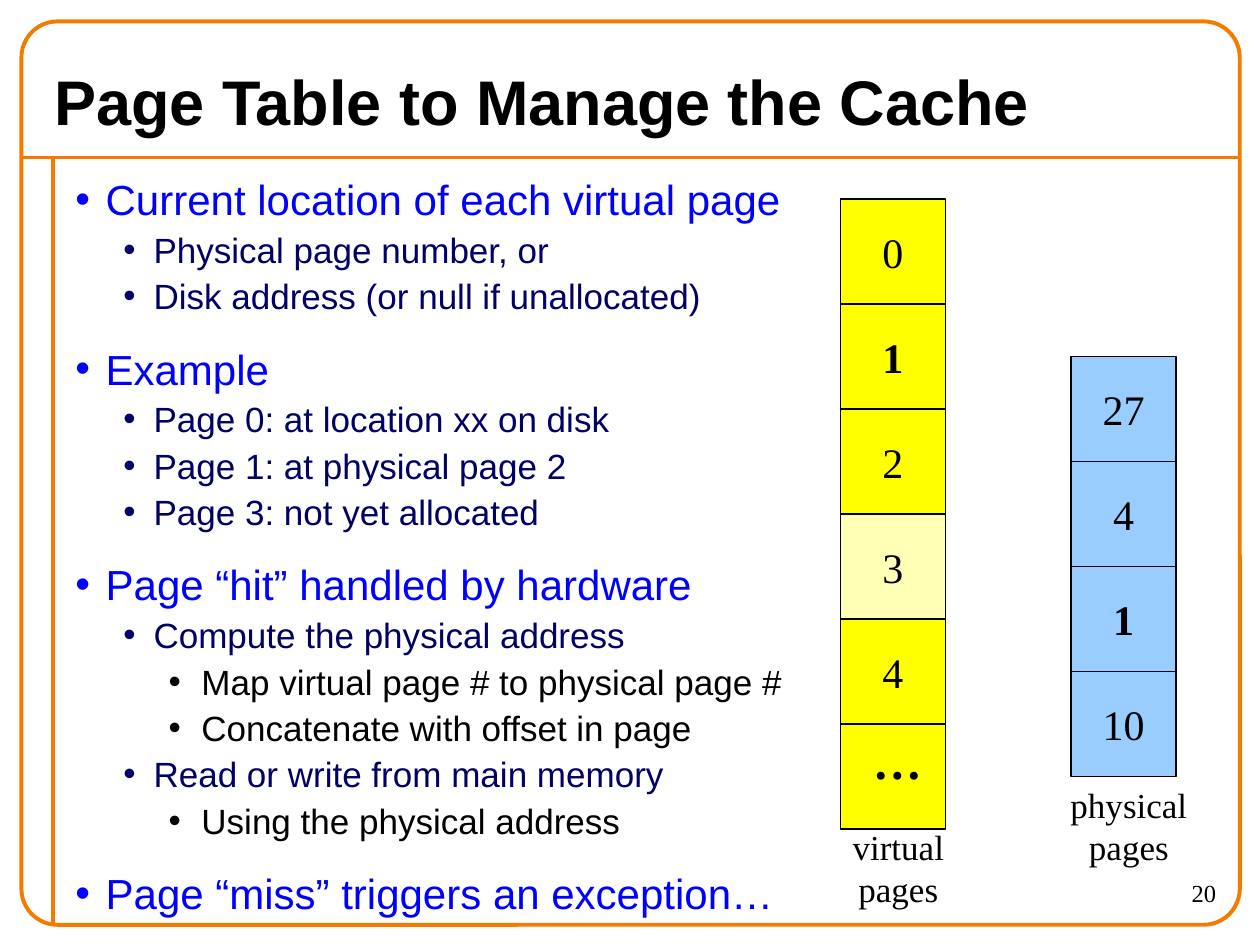
import pptx
import pptx.util
from pptx.dml.color import RGBColor
from pptx.enum.shapes import MSO_CONNECTOR, MSO_SHAPE
from pptx.enum.text import MSO_ANCHOR, PP_ALIGN
from pptx.util import Inches
from lxml import etree

ORANGE = RGBColor(0xF4, 0x7A, 0x00)
BLUE = RGBColor(0x00, 0x00, 0xFF)
NAVY = RGBColor(0x00, 0x00, 0x66)
BLACK = RGBColor(0x00, 0x00, 0x00)
YELLOW = RGBColor(0xFF, 0xFF, 0x00)
LIGHT_BLUE = RGBColor(0x99, 0xCC, 0xFF)
SERIF, SANS = "Times New Roman", "Arial"

# Content
TITLE = "Page Table to Manage the Cache"
OUTLINE = [
    (0, "Current location of each virtual page"),
    (1, "Physical page number, or"),
    (1, "Disk address (or null if unallocated)"),
    (0, "Example"),
    (1, "Page 0: at location xx on disk"),
    (1, "Page 1: at physical page 2"),
    (1, "Page 3: not yet allocated"),
    (0, "Page “hit” handled by hardware"),
    (1, "Compute the physical address"),
    (2, "Map virtual page # to physical page #"),
    (2, "Concatenate with offset in page"),
    (1, "Read or write from main memory"),
    (2, "Using the physical address"),
    (0, "Page “miss” triggers an exception…"),
]
# Per outline level: size, colour, space before, left margin, hanging indent
LEVELS = [(24, BLUE, 15, 0.24, 0.24), (20, NAVY, 2.5, 0.62, 0.24), (20, BLACK, 2.5, 1, 0.26)]
# Page columns: left, top, fill, pages from top to bottom
COLUMNS = [
    (6.67, 1.58, YELLOW, ["0", "1", "2", "3", "4", ""]),
    (8.5, 2.83, LIGHT_BLUE, ["27", "4", "1", "10"]),
]
CACHED_PAGE, UNALLOCATED_PAGE = "1", "3"
CELL = 2.5 / 3
# Labels: lines, box, format
LABELS = [
    (["virtual", "pages"], (6.63, 6.5, 1, 0.77), dict(size=20, align=PP_ALIGN.CENTER)),
    (["physical", "pages"], (8.36, 6.17, 1.2, 0.77), dict(size=20, align=PP_ALIGN.CENTER)),
    (["…"], (6.83, 5.75, 0.59, 0.57), dict(size=28, bold=True)),
    (["20"], (8.75, 6.92, 1, 0.42), dict(size=14, align=PP_ALIGN.RIGHT, wrap=True)),
]


def drawing_element(parent, tag, **attributes):
    return etree.SubElement(parent, pptx.oxml.ns.qn(tag), **attributes)


def write(frame, lines, size=24, font=SERIF, color=BLACK, bold=False,
          align=PP_ALIGN.LEFT, anchor=MSO_ANCHOR.TOP, wrap=False):
    frame.word_wrap = wrap
    frame.vertical_anchor = anchor
    for index, line in enumerate(lines):
        paragraph = frame.paragraphs[0] if index == 0 else frame.add_paragraph()
        paragraph.alignment = align
        run = paragraph.add_run()
        run.text = line
        run.font.size = pptx.util.Pt(size)
        run.font.name = font
        run.font.bold = bold
        run.font.color.rgb = color


def set_line(shape, color, width):
    shape.line.color.rgb = color
    shape.line.width = pptx.util.Pt(width)


def add_rule(slide, start, end):
    rule = slide.shapes.add_connector(MSO_CONNECTOR.STRAIGHT, *map(Inches, start + end))
    set_line(rule, ORANGE, 2.25)
    drawing_element(rule._element.spPr, "a:effectLst")


def add_page(slide, left, top, fill, page):
    cell = slide.shapes.add_shape(MSO_SHAPE.RECTANGLE, *map(Inches, (left, top, CELL, CELL)))
    cell.shadow.inherit = False
    cell.fill.solid()
    cell.fill.fore_color.rgb = fill
    set_line(cell, BLACK, 0.75)
    if page:
        write(cell.text_frame, [page], bold=page == CACHED_PAGE,
              align=PP_ALIGN.CENTER, anchor=MSO_ANCHOR.MIDDLE)
    if page == UNALLOCATED_PAGE:
        color = cell._element.spPr.find(".//" + pptx.oxml.ns.qn("a:srgbClr"))
        drawing_element(color, "a:alpha", val="29000")


def add_outline(slide):
    box = slide.shapes.add_textbox(*map(Inches, (0.5, 1.33, 5.92, 6)))
    frame = box.text_frame
    frame.word_wrap = True
    for index, (level, line) in enumerate(OUTLINE):
        size, color, space, margin, hanging = LEVELS[level]
        paragraph = frame.paragraphs[0] if index == 0 else frame.add_paragraph()
        paragraph.text = line
        paragraph.level = level
        paragraph.space_before = pptx.util.Pt(space if index else 0)
        properties = paragraph._p.get_or_add_pPr()
        properties.set("marL", str(Inches(margin)))
        properties.set("indent", str(-Inches(hanging)))
        bullet_color = drawing_element(properties, "a:buClr")
        drawing_element(bullet_color, "a:srgbClr", val=str(color))
        drawing_element(properties, "a:buFont", typeface=SANS)
        drawing_element(properties, "a:buChar", char="•")
        font = paragraph.runs[0].font
        font.size = pptx.util.Pt(size)
        font.name = SANS
        font.color.rgb = color


def main():
    presentation = pptx.Presentation()
    presentation.slide_width, presentation.slide_height = Inches(10), Inches(7.5)
    slide = presentation.slides.add_slide(presentation.slide_layouts[5])

    # Frame
    add_rule(slide, (0.17, 1.25), (9.83, 1.25))
    add_rule(slide, (0.42, 1.25), (0.42, 7.33))
    border = slide.shapes.add_shape(MSO_SHAPE.ROUNDED_RECTANGLE,
                                    *map(Inches, (0.17, 0.17, 9.67, 7.17)))
    border.adjustments[0] = 0.04
    border.shadow.inherit = False
    border.fill.background()
    set_line(border, ORANGE, 2.25)

    # Title and outline
    title = slide.shapes.title
    title.left, title.top, title.width, title.height = map(Inches, (0.33, 0.42, 9.33, 0.75))
    write(title.text_frame, [TITLE], size=36, font=SANS, bold=True,
          anchor=MSO_ANCHOR.MIDDLE, wrap=True)
    add_outline(slide)

    # Page columns
    for left, top, fill, pages in COLUMNS:
        for row, page in enumerate(pages):
            add_page(slide, left, top + row * CELL, fill, page)

    # Labels and slide number
    for lines, box, style in LABELS:
        label = slide.shapes.add_textbox(*map(Inches, box))
        write(label.text_frame, lines, **style)

    presentation.save("out.pptx")


if __name__ == "__main__":
    main()
